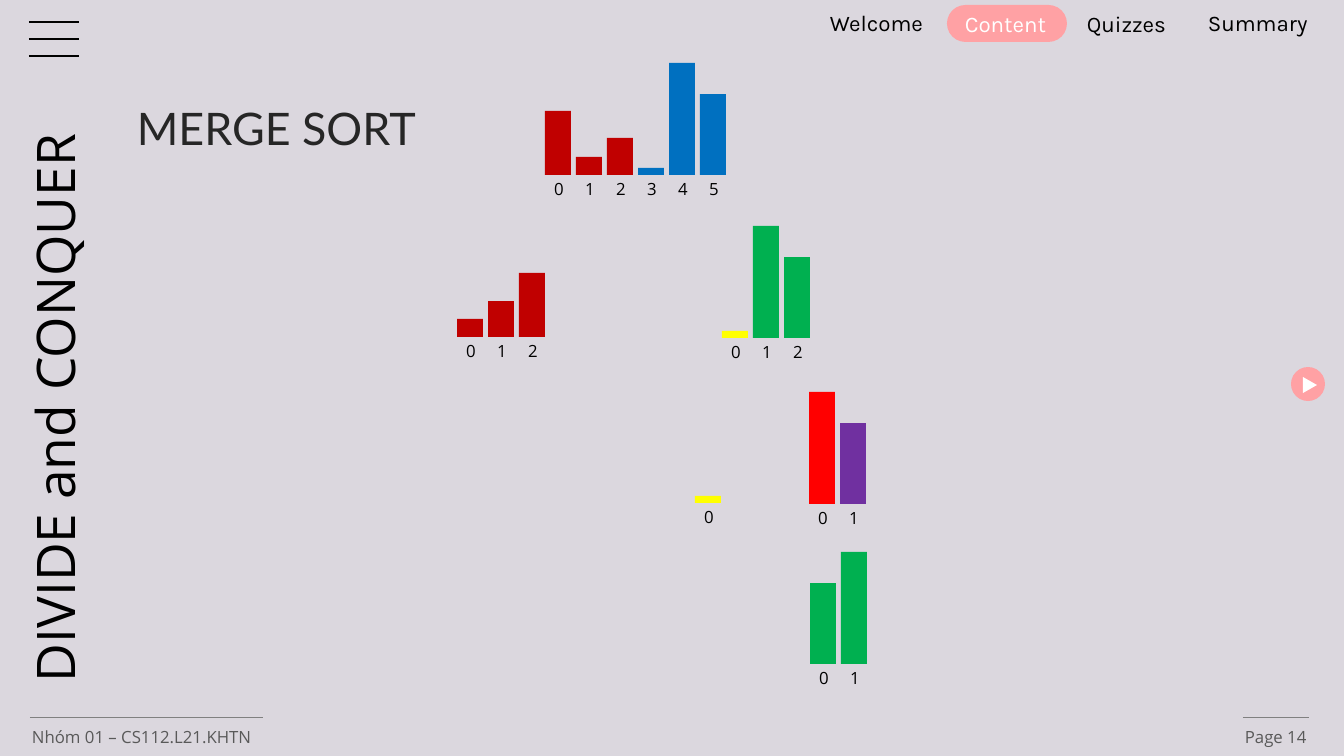
from lxml import etree
from pptx import Presentation
from pptx import util as u
from pptx.dml.color import RGBColor
from pptx.enum import shapes, text
from pptx.oxml.ns import qn

EMU_PER_PX = 914400 / 100.8
COLORS = {
    "backdrop": "DBD7DE", "accent": "FFA1A4", "white": "FFFFFF", "black": "000000",
    "heading": "262626", "footer": "595959", "rule": "808080", "crimson": "C00000",
    "blue": "0070C0", "yellow": "FFFF00", "green": "00B050", "red": "FF0000",
    "purple": "7030A0",
}
FORMATS = {
    "nav": {"name": "Karla", "size": u.Pt(16)},
    "footer": {"name": "Open Sans", "size": u.Pt(12)},
    "section": {"name": "Open Sans", "size": u.Pt(38)},
    "heading": {"name": "Lato", "size": u.Pt(32)},
    "index": {"name": "Open Sans", "size": u.Pt(12)},
}
INDEX_FRAME = {"margin_left": 0, "margin_right": 0, "word_wrap": False}
BAR_WIDTH, BAR_PITCH = 26, 31
NAV_ITEMS = [("Welcome", 0, 0), ("Content", 135, 1), ("Quizzes", 257, 1), ("Summary", 378, 0)]
SUBARRAYS = [
    (545, 175, [(64, "crimson"), (18, "crimson"), (37, "crimson"),
                (7, "blue"), (112, "blue"), (81, "blue")]),
    (457, 337, [(18, "crimson"), (36, "crimson"), (64, "crimson")]),
    (722, 338, [(7, "yellow"), (112, "green"), (81, "green")]),
    (695, 503, [(7, "yellow")]),
    (809, 504, [(112, "red"), (81, "purple")]),
    (810, 664, [(81, "green"), (112, "green")]),
]


def px(*lengths):
    return [u.Emu(round(length * EMU_PER_PX)) for length in lengths]


def rgb(color):
    return RGBColor.from_string(COLORS[color])


def apply(target, values):
    for attribute, value in values.items():
        setattr(target, attribute, value)


def add_solid(slide, kind, box, color):
    solid = slide.shapes.add_shape(kind, *px(*box))
    solid.shadow.inherit = False
    solid.fill.solid()
    solid.fill.fore_color.rgb = rgb(color)
    solid.line.fill.background()
    return solid


def add_rule(slide, left, top, width, color, weight):
    rule = slide.shapes.add_connector(
        shapes.MSO_CONNECTOR.STRAIGHT, *px(left, top, left + width, top))
    rule.line.color.rgb = rgb(color)
    rule.line.width = u.Pt(weight)
    etree.SubElement(rule._element.spPr, qn("a:effectLst"))


def add_words(slide, words, box, style, color, frame=None, align=text.PP_ALIGN.LEFT):
    words_box = slide.shapes.add_textbox(*px(*box))
    apply(words_box.text_frame, {"word_wrap": True, **(frame or {})})
    paragraph = words_box.text_frame.paragraphs[0]
    paragraph.alignment = align
    run = paragraph.add_run()
    run.text = words
    apply(run.font, FORMATS[style])
    run.font.color.rgb = rgb(color)
    return words_box


def add_navigation(slide, left, top):
    pill = add_solid(slide, shapes.MSO_SHAPE.ROUNDED_RECTANGLE,
                     (left + 127, top + 1, 120, 37), "accent")
    pill.adjustments[0] = 0.5
    for title, offset, drop in NAV_ITEMS:
        add_words(slide, title, (left + offset, top + drop, 130, 37), "nav",
                  "white" if title == "Content" else "black")


def add_menu_icon(slide, left, top):
    for row in range(3):
        add_rule(slide, left, top + 17 * row, 50, "black", 2)


def add_section_title(slide, left, top, width, height):
    title = add_words(slide, "DIVIDE and CONQUER",
                      (left + (width - height) / 2, top + (height - width) / 2, height, width),
                      "section", "black")
    title.rotation = 270


def add_play_button(slide, left, top):
    add_solid(slide, shapes.MSO_SHAPE.OVAL, (left, top, 34, 34), "accent")
    arrow = add_solid(slide, shapes.MSO_SHAPE.ISOSCELES_TRIANGLE,
                      (left + 11, top + 11, 16, 14), "white")
    arrow.rotation = 90


def add_footer(slide, words, left, top, rule_width):
    add_rule(slide, left, top, rule_width, "rule", 0.75)
    add_words(slide, words, (left - 8, top + 4, rule_width + 30, 30), "footer", "footer")


def add_subarray(slide, left, baseline, bars):
    for index, (height, color) in enumerate(bars):
        bar_left = left + BAR_PITCH * index
        add_solid(slide, shapes.MSO_SHAPE.RECTANGLE,
                  (bar_left, baseline - height, BAR_WIDTH, height), color)
        add_words(slide, str(index), (bar_left + 1, baseline - 1, BAR_WIDTH, 30), "index",
                  "black", INDEX_FRAME, text.PP_ALIGN.CENTER)


def add_merge_sort_slide(deck):
    slide = deck.slides.add_slide(deck.slide_layouts[6])
    slide.background.fill.solid()
    slide.background.fill.fore_color.rgb = rgb("backdrop")
    add_navigation(slide, 820, 4)
    add_menu_icon(slide, 29, 22)
    add_section_title(slide, 17, 57, 90, 635)
    add_words(slide, "MERGE SORT", (127, 96, 303, 65), "heading", "heading")
    for left, baseline, bars in SUBARRAYS:
        add_subarray(slide, left, baseline, bars)
    add_play_button(slide, 1291, 367)
    add_footer(slide, "Nhóm 01 – CS112.L21.KHTN", 30, 718, 233)
    add_footer(slide, "Page 14", 1243, 718, 66)


def main():
    deck = Presentation()
    deck.slide_width, deck.slide_height = px(1344, 756)
    add_merge_sort_slide(deck)
    deck.save("out.pptx")


if __name__ == "__main__":
    main()
